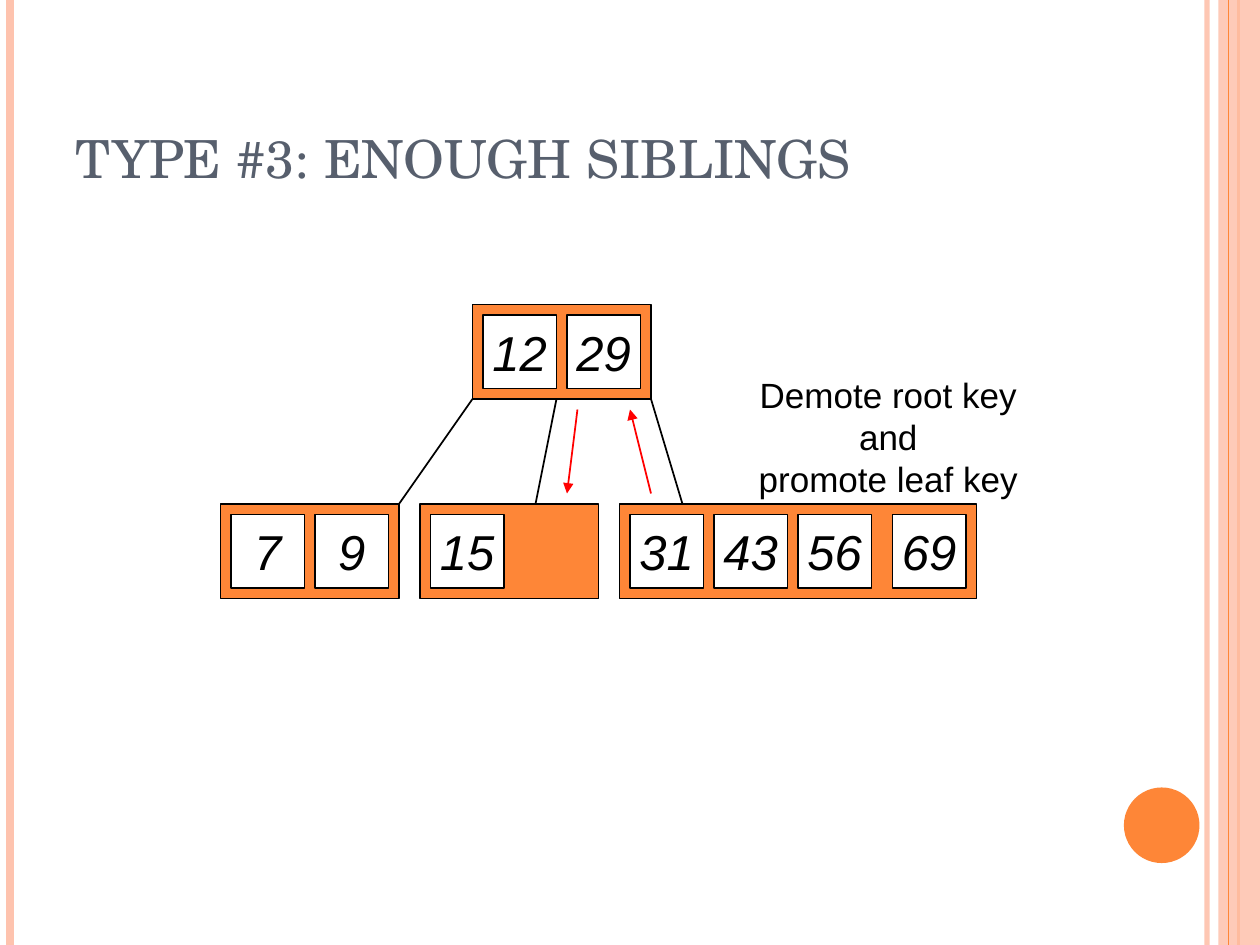
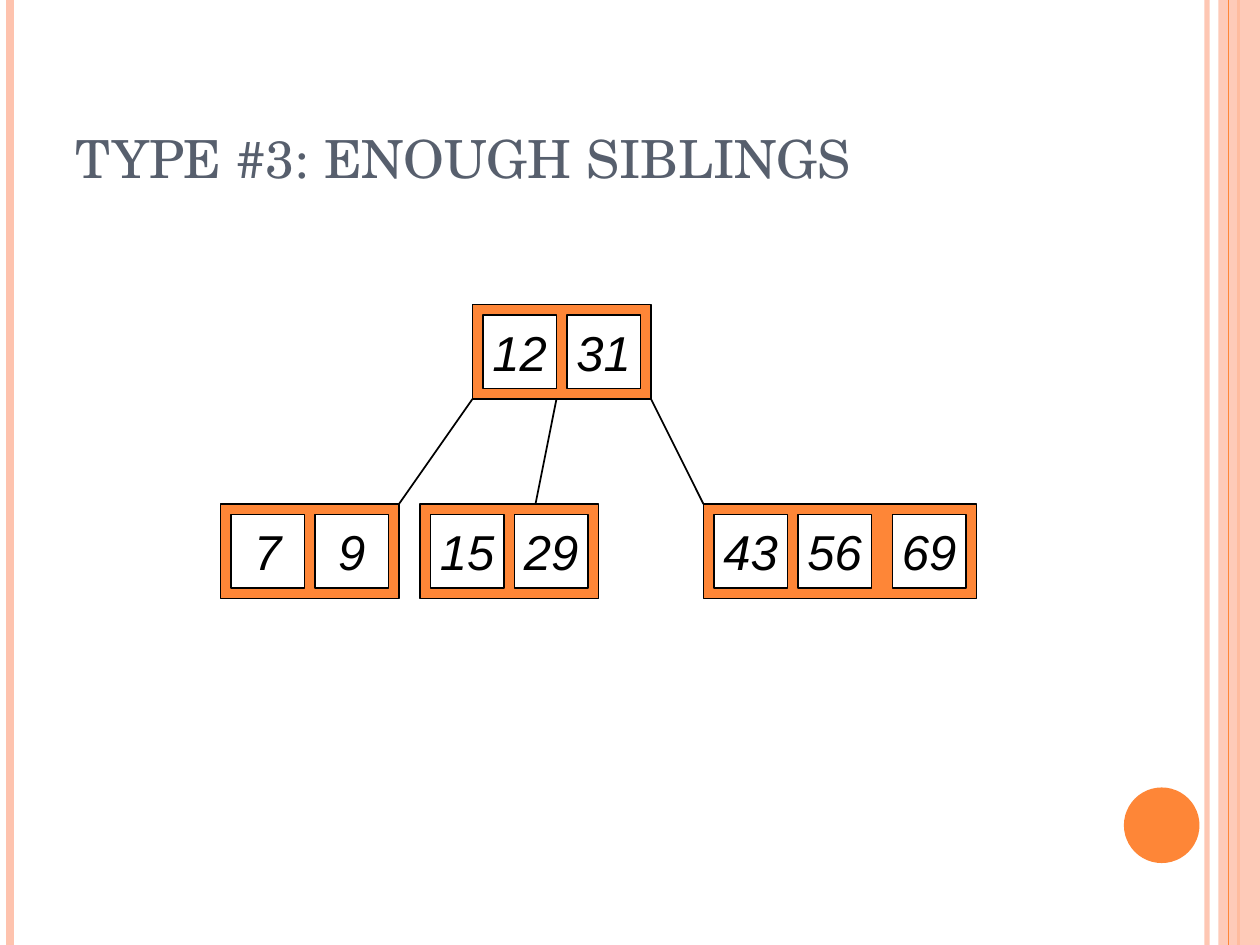
from dataclasses import dataclass

from lxml import etree
from pptx import Presentation, util as u
from pptx.dml.color import RGBColor
from pptx.enum import shapes, text
from pptx.oxml.ns import qn


@dataclass(frozen=True)
class Theme:
    orange: str = "FE8637"
    peach: str = "FEC3AE"
    slate: str = "575F6D"
    black: str = "000000"
    white: str = "FFFFFF"
    red: str = "FF0000"
    title_font: str = "TeX Gyre Schola"
    body_font: str = "Arial"
    title_size: float = 30
    key_size: float = 28
    note_size: float = 20
    outline: float = 1


THEME = Theme()
PAD, KEY_SIDE, KEY_STEP, NODE_HEIGHT = 1, 7, 8, 9
ROOT_LEFT, ROOT_TOP, LEAF_TOP = 45, 29, 48
ROOT_BOTTOM = ROOT_TOP + NODE_HEIGHT
LEFT_LEAF, MIDDLE_LEAF = 21, 40


def grid(steps):
    return u.Inches(steps / 12)


def put_text(frame, content, *, size, color, font=THEME.body_font, italic=False,
             align=text.PP_ALIGN.CENTER, anchor=text.MSO_ANCHOR.MIDDLE, wrap=False):
    frame.text = content
    frame.word_wrap = wrap
    frame.vertical_anchor = anchor
    for paragraph in frame.paragraphs:
        paragraph.alignment = align
        paragraph.font.size = u.Pt(size)
        paragraph.font.name = font
        paragraph.font.italic = italic
        paragraph.font.color.rgb = RGBColor.from_string(color)


def set_opacity(element, percent):
    for color in element.iter(qn("a:srgbClr")):
        etree.SubElement(color, qn("a:alpha"), val=str(percent * 1000))


class Deck:
    def __init__(self, theme):
        self.theme = theme
        self.show = Presentation()
        self.show.slide_width, self.show.slide_height = u.Inches(10), u.Inches(7.5)
        self.slide = None

    def start_slide(self, title):
        self.slide = self.show.slides.add_slide(self.show.slide_layouts[6])
        self.frame_slide()
        box = self.slide.shapes.add_textbox(
            u.Inches(0.5), u.Inches(0.3), u.Inches(8.17), u.Inches(1.25))
        put_text(box.text_frame, title, size=self.theme.title_size,
                 color=self.theme.slate, font=self.theme.title_font,
                 align=text.PP_ALIGN.LEFT, anchor=text.MSO_ANCHOR.BOTTOM, wrap=True)

    def frame_slide(self):
        t = self.theme
        self.stripe(9.58, t.peach, 3, opacity=93)
        self.stripe(0.08, t.peach, 4.5)
        self.stripe(9.83, t.orange, 1.5)
        band = self.shape(u.Inches(9.67), 0, u.Inches(0.33), u.Inches(7.5), t.peach)
        set_opacity(band.fill._xPr, 87)
        self.stripe(9.75, t.orange, 0.75)
        self.shape(u.Inches(8.92), u.Inches(6.25), u.Inches(0.6), u.Inches(0.6),
                   t.orange, kind=shapes.MSO_SHAPE.OVAL)

    def stripe(self, x, color, weight, opacity=None):
        line = self.line((u.Inches(x), 0), (u.Inches(x), u.Inches(7.5)), color, weight)
        if opacity:
            set_opacity(line._element, opacity)

    def shape(self, left, top, width, height, fill, outline=None,
              kind=shapes.MSO_SHAPE.RECTANGLE):
        shape = self.slide.shapes.add_shape(kind, left, top, width, height)
        shape.shadow.inherit = False
        shape.fill.solid()
        shape.fill.fore_color.rgb = RGBColor.from_string(fill)
        if outline:
            shape.line.color.rgb = RGBColor.from_string(outline)
            shape.line.width = u.Pt(self.theme.outline)
        else:
            shape.line.fill.background()
        return shape

    def line(self, start, end, color, weight, arrow=False):
        line = self.slide.shapes.add_connector(
            shapes.MSO_CONNECTOR.STRAIGHT, *start, *end)
        line.line.color.rgb = RGBColor.from_string(color)
        line.line.width = u.Pt(weight)
        if arrow:
            etree.SubElement(line.line._get_or_add_ln(), qn("a:tailEnd"), type="triangle")
        etree.SubElement(line._element.spPr, qn("a:effectLst"))
        return line

    def link(self, start, end, color=THEME.black, arrow=False):
        self.line([grid(n) for n in start], [grid(n) for n in end],
                  color, self.theme.outline, arrow)

    def node(self, left, top, keys, slots=None, last_gap=0):
        t = self.theme
        width = PAD + KEY_STEP * (slots or len(keys)) + last_gap
        self.shape(grid(left), grid(top), grid(width), grid(NODE_HEIGHT),
                   t.orange, t.black)
        for index, key in enumerate(keys):
            x = left + PAD + KEY_STEP * index
            if index == len(keys) - 1:
                x += last_gap
            cell = self.shape(grid(x), grid(top + PAD), grid(KEY_SIDE), grid(KEY_SIDE),
                              t.white, t.black)
            put_text(cell.text_frame, str(key), size=t.key_size, color=t.black, italic=True)

    def tree(self, root, middle, right, right_left, right_link):
        self.node(ROOT_LEFT, ROOT_TOP, root)
        self.node(LEFT_LEAF, LEAF_TOP, [7, 9])
        self.node(MIDDLE_LEAF, LEAF_TOP, middle, slots=2)
        self.node(right_left, LEAF_TOP, right, last_gap=1)
        for parent_x, leaf_x in [(ROOT_LEFT, 38), (53, 51), (62, right_link)]:
            self.link((parent_x, ROOT_BOTTOM), (leaf_x, LEAF_TOP))

    def note(self, content):
        box = self.slide.shapes.add_textbox(
            u.Inches(5.66), u.Inches(3.08), u.Inches(2.78), u.Inches(0.77))
        put_text(box.text_frame, content, size=self.theme.note_size,
                 color=self.theme.black)


def main():
    deck = Deck(THEME)
    title = "TYPE #3: ENOUGH SIBLINGS"

    deck.start_slide(title)
    deck.tree([12, 29], [15], [31, 43, 56, 69], right_left=59, right_link=65)
    deck.link((62, 47), (60, 39), THEME.red, arrow=True)
    deck.link((55, 39), (54, 47), THEME.red, arrow=True)
    deck.note("Demote root key and\npromote leaf key")

    deck.start_slide(title)
    deck.tree([12, 31], [15, 29], [43, 56, 69], right_left=67, right_link=67)

    deck.show.save("out.pptx")


if __name__ == "__main__":
    main()
